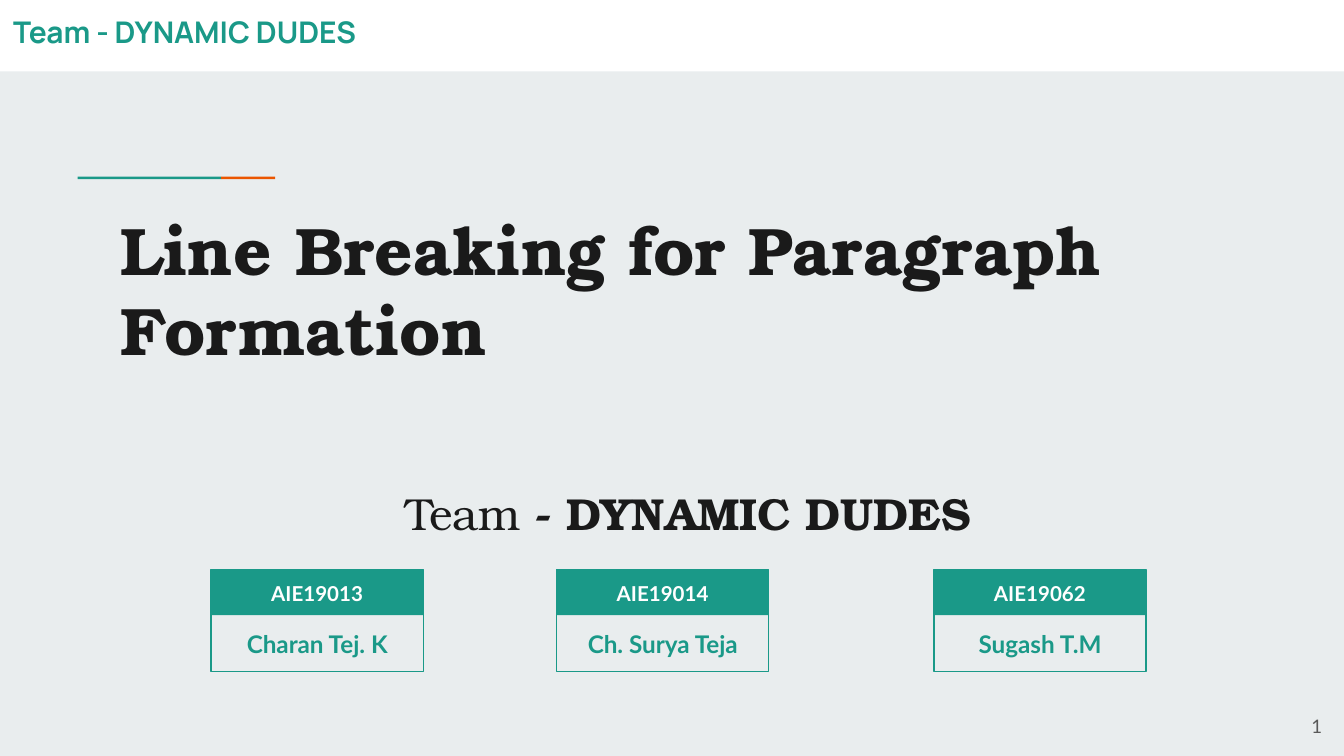
from lxml import etree
from pptx import Presentation
from pptx.dml.color import RGBColor
from pptx.enum import shapes, text
from pptx.util import Cm, Pt

TITLE = "Line Breaking for Paragraph Formation"
TEAM = ("Team ", "- DYNAMIC DUDES")
MEMBERS = [  # left edge in cm, roll number, name
    (3.99, "AIE19013", "Charan Tej. K"),
    (10.52, "AIE19014", "Ch. Surya Teja"),
    (17.65, "AIE19062", "Sugash T.M"),
]
GREEN, ORANGE, WHITE = "1A9988", "EB5600", "FFFFFF"
INK, GREY, PAPER = "1A1A1A", "595959", "E9EDEE"
SERIF, SANS, HEADER = "TeX Gyre Bonum", "Lato", "Manrope"
CARD_TOP, CARD_W, CARD_H, BAND_H = 10.77, 4.01, 1.93, 0.86
INSET = 0.25
LEFT, CENTER, RIGHT = (text.PP_ALIGN.LEFT, text.PP_ALIGN.CENTER,
                       text.PP_ALIGN.RIGHT)
TOP, MIDDLE = text.MSO_ANCHOR.TOP, text.MSO_ANCHOR.MIDDLE


def rgb(hex_color):
    return RGBColor.from_string(hex_color)


def place(sp, x, y, w, h):
    sp.left, sp.top, sp.width, sp.height = Cm(x), Cm(y), Cm(w), Cm(h)


def add_rect(x, y, w, h, fill=None, line=None):
    sp = s.shapes.add_shape(shapes.MSO_SHAPE.RECTANGLE,
                            Cm(x), Cm(y), Cm(w), Cm(h))
    sp.shadow.inherit = False
    if fill:
        sp.fill.solid()
        sp.fill.fore_color.rgb = rgb(fill)
    else:
        sp.fill.background()
    if line:
        sp.line.color.rgb = rgb(line)
        sp.line.width = Pt(0.75)
    else:
        sp.line.fill.background()


def write(sp, runs, size, font, color, bold=None, align=LEFT, anchor=MIDDLE,
          wrap=True):
    """Fill a shape with one paragraph and return that paragraph."""
    tf = sp.text_frame
    tf.word_wrap = wrap
    tf.auto_size = text.MSO_AUTO_SIZE.NONE
    tf.vertical_anchor = anchor
    tf.margin_left = tf.margin_right = Cm(INSET)
    tf.margin_top = tf.margin_bottom = Cm(INSET)
    p = tf.paragraphs[0]
    for words in runs:
        p.add_run().text = words
    p.alignment = align
    p.space_before = Pt(0)
    p.font.size, p.font.name, p.font.bold = Pt(size), font, bold
    p.font.color.rgb = rgb(color)
    return p


def add_label(x, y, w, h, words, *style, **options):
    sp = s.shapes.add_textbox(Cm(x), Cm(y), Cm(w), Cm(h))
    write(sp, [words], *style, **options)


prs = Presentation()
prs.slide_width, prs.slide_height = Cm(25.4), Cm(14.29)
s = prs.slides.add_slide(prs.slide_layouts[0])
s.background.fill.solid()
s.background.fill.fore_color.rgb = rgb(PAPER)

# Header band and accent line
add_rect(0, 0, 25.4, 1.35, WHITE)
add_rect(1.47, 3.34, 2.71, 0.05, GREEN)
add_rect(4.18, 3.34, 1.02, 0.05, ORANGE)
add_label(0, 0.13, 7.32, 0.94, "".join(TEAM), 16, HEADER, GREEN, bold=True,
          wrap=False)

# Title and subtitle
title, subtitle = s.placeholders
place(title, 2.03, 3.68, 21.36, 4.62)
write(title, [TITLE], 36, SERIF, INK, bold=True, anchor=TOP)
place(subtitle, 3.99, 9.04, 17.42, 1.42)
p = write(subtitle, TEAM, 24, SERIF, INK, align=CENTER, anchor=TOP)
p.line_spacing = 0.9
p.runs[1].font.bold = True
subtitle.text_frame.margin_left = Cm(0.86)

# Member cards
for x, roll, name in MEMBERS:
    add_rect(x, CARD_TOP, CARD_W, CARD_H, line=GREEN)
    add_rect(x, CARD_TOP, CARD_W, BAND_H, GREEN)
    add_label(x, CARD_TOP + 0.18, CARD_W, 0.53, roll, 11, SANS, WHITE,
              bold=True, align=CENTER)
    add_label(x, CARD_TOP + 1.14, CARD_W, 0.53, name, 13, SANS, GREEN,
              bold=True, align=CENTER)

add_label(23.72, 13.18, 1.52, 1.09, "1", 10, SANS, GREY, align=RIGHT)

prs.save("out.pptx")
